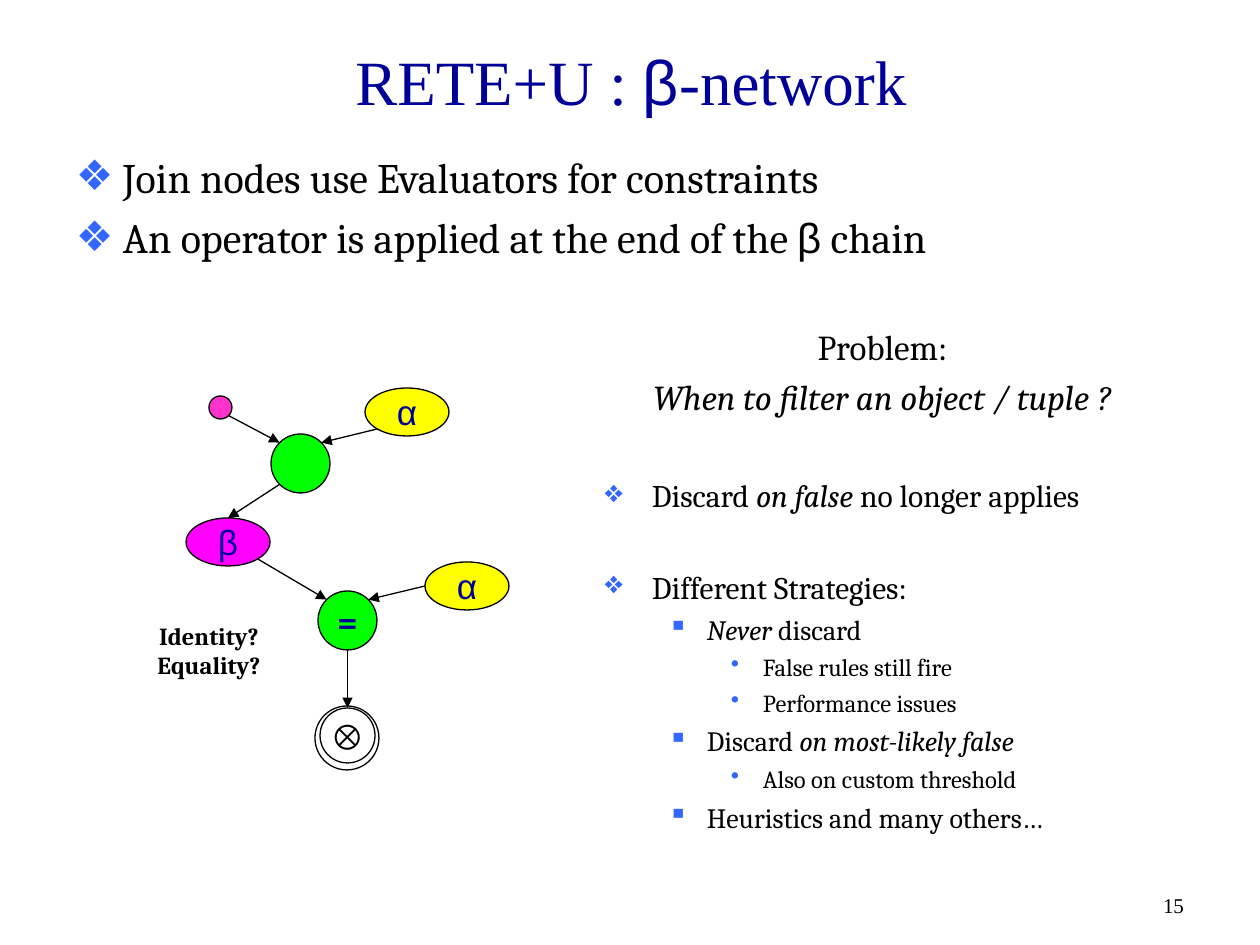
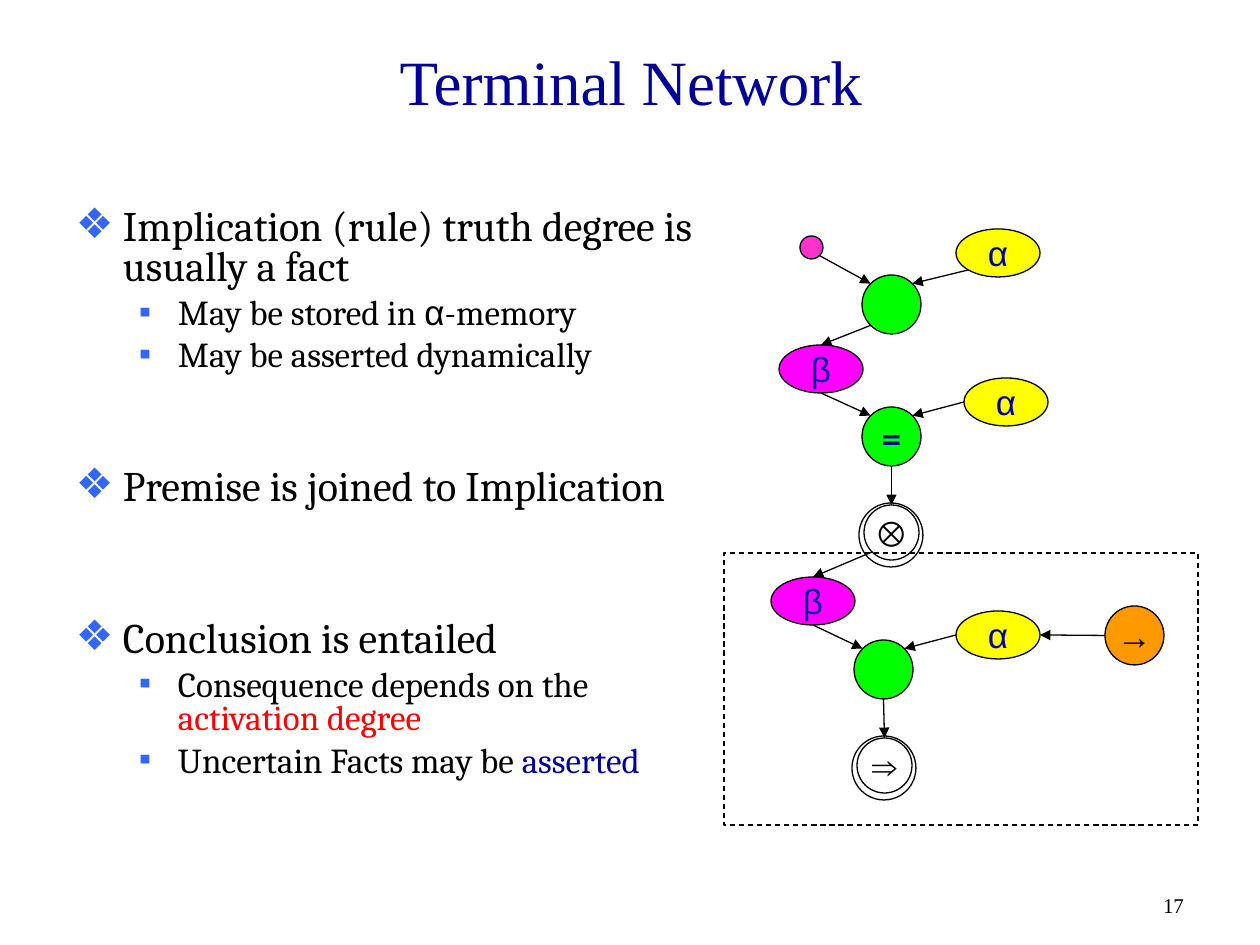
from dataclasses import dataclass, field

from pptx import Presentation, util as u
from pptx.dml.color import RGBColor
from pptx.enum import dml, shapes, text
from pptx.oxml import ns, xmlchemy as x

SCALE = u.Inches(10) / 1260


@dataclass(frozen=True)
class Theme:
    serif: str = "Times New Roman"
    body: str = "Cambria"
    symbol: str = "Arial"
    black: str = "000000"
    navy: str = "000099"
    red: str = "FF0000"
    bullet: str = "3366FF"
    title_size: int = 36
    symbol_size: int = 20
    caption_size: int = 14
    number_size: int = 12
    line: float = 0.75
    body_sizes: tuple = (24, 20)
    strategy_sizes: tuple = (18, 16, 14)
    problem_size: int = 20
    fills: dict = field(default_factory=lambda: {
        "alpha": "FFFF00", "beta": "FF00FF", "join": "00FF00", "equal": "00FF00",
        "start": "FF33CC", "imply": "FF9900"})


T = Theme()

BULLETS = ((47, 47, "❖"), (102, 39, "▪"), (158, 32, "•"))

NODE_SIZES = {
    "alpha": (84, 48), "beta": (84, 48), "join": (59, 59), "equal": (59, 59),
    "start": (23, 23), "imply": (59, 59), "ring": (64, 64),
    "combine": (55, 55), "entail": (55, 55)}

NODE_LABELS = {
    "alpha": ("α", {"color": T.navy}),
    "beta": ("β", {"color": T.navy}),
    "equal": ("=", {"color": T.navy, "name": T.body, "bold": True}),
    "combine": ("⊗", {"bold": True}),
    "entail": ("⇒", {"bold": True}),
    "imply": ("→", {})}

DIAGONAL = 0.146
PORTS = {
    "top": (0.5, 0), "left": (0, 0.5), "bottom": (0.5, 1), "right": (1, 0.5),
    "top left": (DIAGONAL, DIAGONAL), "top right": (1 - DIAGONAL, DIAGONAL),
    "bottom left": (DIAGONAL, 1 - DIAGONAL),
    "bottom right": (1 - DIAGONAL, 1 - DIAGONAL)}

ARIAL = {"name": T.symbol}
ITALIC = {"italic": True}


def px(*lengths):
    return [u.Emu(round(n * SCALE)) for n in lengths]


def assign(target, values):
    for name, value in values.items():
        setattr(target, name, value)


def write(p, runs, **base):
    for run in [runs] if isinstance(runs, str) else runs:
        words, changes = (run, {}) if isinstance(run, str) else run
        if words == "\n":
            p.add_line_break()
            continue
        style = {"name": T.body, "color": T.black, **base, **changes}
        r = p.add_run()
        r.text = words
        r.font.color.rgb = RGBColor.from_string(style.pop("color"))
        style["size"] = u.Pt(style["size"])
        assign(r.font, style)


def set_frame(tf, anchor=text.MSO_ANCHOR.TOP, wrap=True, top=6):
    left, inset = px(13, 6)
    assign(tf, {
        "auto_size": text.MSO_AUTO_SIZE.NONE, "word_wrap": wrap,
        "vertical_anchor": anchor, "margin_left": left, "margin_right": left,
        "margin_top": px(top)[0], "margin_bottom": inset})


def place(sp, box):
    assign(sp, dict(zip(("left", "top", "width", "height"), px(*box))))


def add_text(s, box, anchor=text.MSO_ANCHOR.TOP):
    sp = s.shapes.add_textbox(*px(*box))
    set_frame(sp.text_frame, anchor)
    return sp.text_frame


def next_paragraph(tf):
    first = tf.paragraphs[0]
    return tf.add_paragraph() if first.runs else first


def add_bullet(p, level):
    left, hang, char = BULLETS[level]
    pPr = p._p.get_or_add_pPr()
    pPr.set("marL", str(px(left)[0]))
    pPr.set("indent", str(px(-hang)[0]))
    color = x.OxmlElement("a:buClr")
    rgb = x.OxmlElement("a:srgbClr")
    rgb.set("val", T.bullet)
    color.append(rgb)
    mark = x.OxmlElement("a:buChar")
    mark.set("char", char)
    pPr.extend((color, mark))


def fill_list(tf, items, sizes, spacing=1.0):
    for level, runs, *gap in items:
        p = next_paragraph(tf)
        size = sizes[level]
        assign(p, {"level": level, "line_spacing": spacing,
                   "space_before": u.Pt(gap[0] if gap else size / 4)})
        add_bullet(p, level)
        write(p, runs, size=size)


def add_page(prs, title, number):
    s = prs.slides.add_slide(prs.slide_layouts[1])
    sp = s.shapes.title
    place(sp, (64, 35, 1134, 90))
    set_frame(sp.text_frame, text.MSO_ANCHOR.MIDDLE)
    p = sp.text_frame.paragraphs[0]
    p.alignment = text.PP_ALIGN.CENTER
    write(p, title, size=T.title_size, name=T.serif, color=T.navy)
    p = add_text(s, (903, 861, 294, 63), text.MSO_ANCHOR.BOTTOM).paragraphs[0]
    p.alignment = text.PP_ALIGN.RIGHT
    write(p, number, size=T.number_size, name=T.serif)
    return s


def add_body(s, box, items, spacing=1.0, top=6):
    sp = s.placeholders[1]
    place(sp, box)
    set_frame(sp.text_frame, top=top)
    fill_list(sp.text_frame, items, T.body_sizes, spacing)


def outline(sp, color=None):
    sp.shadow.inherit = False
    sp.line.color.rgb = RGBColor.from_string(T.black)
    sp.line.width = u.Pt(T.line)
    if color:
        sp.fill.solid()
        sp.fill.fore_color.rgb = RGBColor.from_string(color)
    else:
        sp.fill.background()


def add_node(group, kind, left, top):
    width, height = NODE_SIZES[kind]
    if kind in ("combine", "entail"):
        add_node(group, "ring", left - 5, top - 2)
    sp = group.shapes.add_shape(shapes.MSO_SHAPE.OVAL, *px(left, top, width, height))
    outline(sp, T.fills.get(kind))
    if kind in NODE_LABELS:
        set_frame(sp.text_frame, text.MSO_ANCHOR.MIDDLE, wrap=False)
        p = sp.text_frame.paragraphs[0]
        p.alignment = text.PP_ALIGN.CENTER
        label, style = NODE_LABELS[kind]
        write(p, label, **{"size": T.symbol_size, "name": T.symbol, **style})
    return sp


def port(sp, side):
    across, down = PORTS[side]
    return round(sp.left + across * sp.width), round(sp.top + down * sp.height)


def add_arrow(group, start, end):
    line = group.shapes.add_connector(shapes.MSO_CONNECTOR.STRAIGHT, *start, *end)
    line.line.color.rgb = RGBColor.from_string(T.black)
    line.line.width = u.Pt(T.line)
    head = x.OxmlElement("a:tailEnd")
    head.set("type", "triangle")
    spPr = line._element.find(ns.qn("p:spPr"))
    spPr.find(ns.qn("a:ln")).append(head)
    spPr.append(x.OxmlElement("a:effectLst"))


def add_network(s, origin, nodes, edges):
    group = s.shapes.add_group_shape()
    left, top = origin
    placed = {name: add_node(group, kind, left + dx, top + dy)
              for name, (kind, dx, dy) in nodes.items()}
    for source, out, target, into in edges:
        add_arrow(group, port(placed[source], out), port(placed[target], into))


def premise_edges(beta_exit):
    return [
        ("start", "bottom right", "join", "top left"),
        ("fact", "bottom left", "join", "top right"),
        ("join", "bottom left", "beta", "top"),
        ("beta", beta_exit, "equal", "top left"),
        ("second fact", "left", "equal", "top right"),
        ("equal", "bottom", "combine", "top")]


def add_problem(s, box):
    tf = add_text(s, box)
    for runs in ("Problem:", [("When to filter an object / tuple ?", ITALIC)]):
        p = next_paragraph(tf)
        assign(p, {"alignment": text.PP_ALIGN.CENTER,
                   "space_before": u.Pt(T.problem_size / 4)})
        write(p, runs, size=T.problem_size)
    fill_list(tf, [
        (0, ["Discard ", ("on false", ITALIC), " no longer applies"], 33.5),
        (0, "Different Strategies:", 30.5),
        (1, [("Never", ITALIC), " discard"]),
        (2, "False rules still fire"),
        (2, "Performance issues"),
        (1, ["Discard ", ("on most-likely false", ITALIC)]),
        (2, "Also on custom threshold"),
        (1, "Heuristics and many others…")], T.strategy_sizes)


def add_caption(s, box):
    p = add_text(s, box).paragraphs[0]
    p.alignment = text.PP_ALIGN.CENTER
    write(p, ["Identity?", "\n", "Equality?"], size=T.caption_size, bold=True)


def add_conclusion_frame(s, box):
    sp = s.shapes.add_shape(shapes.MSO_SHAPE.RECTANGLE, *px(*box))
    outline(sp)
    sp.line.dash_style = dml.MSO_LINE.DASH


def beta_slide(prs):
    s = add_page(prs, ["RETE+U : ", ("β", ARIAL), "-network"], "15")
    add_body(s, (63, 145, 1134, 174), [
        (0, "Join nodes use Evaluators for constraints"),
        (0, ["An operator is applied at the end of the ", ("β", ARIAL), " chain"])])
    add_network(s, (186, 388), {
        "fact": ("alpha", 179, 0), "second fact": ("alpha", 239, 174),
        "combine": ("combine", 134, 320), "join": ("join", 85, 46),
        "beta": ("beta", 0, 130), "equal": ("equal", 132, 203),
        "start": ("start", 23, 8)}, premise_edges("bottom right"))
    add_problem(s, (592, 319, 581, 536))
    add_caption(s, (112, 615, 194, 72))


def terminal_slide(prs):
    s = add_page(prs, "Terminal Network", "17")
    add_body(s, (63, 145, 685, 730), [
        (0, "Implication (rule) truth degree is usually a fact"),
        (1, ["May be stored in ", ("α", ARIAL), "-memory"]),
        (1, "May be asserted dynamically"),
        (0, "Premise is joined to Implication", 54),
        (0, "Conclusion is entailed", 64),
        (1, ["Consequence depends on the ", ("activation degree", {"color": T.red})]),
        (1, ["Uncertain Facts may be ", ("asserted", {"color": T.navy})])],
        spacing=0.8, top=64)
    add_network(s, (771, 229), {
        "fact": ("alpha", 185, 0), "second fact": ("alpha", 193, 149),
        "combine": ("combine", 93, 276), "join": ("join", 91, 46),
        "beta": ("beta", 8, 116), "equal": ("equal", 91, 178),
        "start": ("start", 29, 7), "rule fact": ("alpha", 185, 382),
        "premise": ("beta", 0, 348), "rule join": ("join", 83, 411),
        "entail": ("entail", 86, 509), "imply": ("imply", 334, 377)},
        premise_edges("bottom") + [
            ("rule fact", "left", "rule join", "top right"),
            ("combine", "bottom left", "premise", "top"),
            ("premise", "bottom", "rule join", "top left"),
            ("rule join", "bottom", "entail", "top"),
            ("imply", "left", "rule fact", "right")])
    add_conclusion_frame(s, (724, 553, 474, 272))


def main():
    prs = Presentation()
    prs.slide_width, prs.slide_height = px(1260, 945)
    beta_slide(prs)
    terminal_slide(prs)
    prs.save("out.pptx")


if __name__ == "__main__":
    main()
